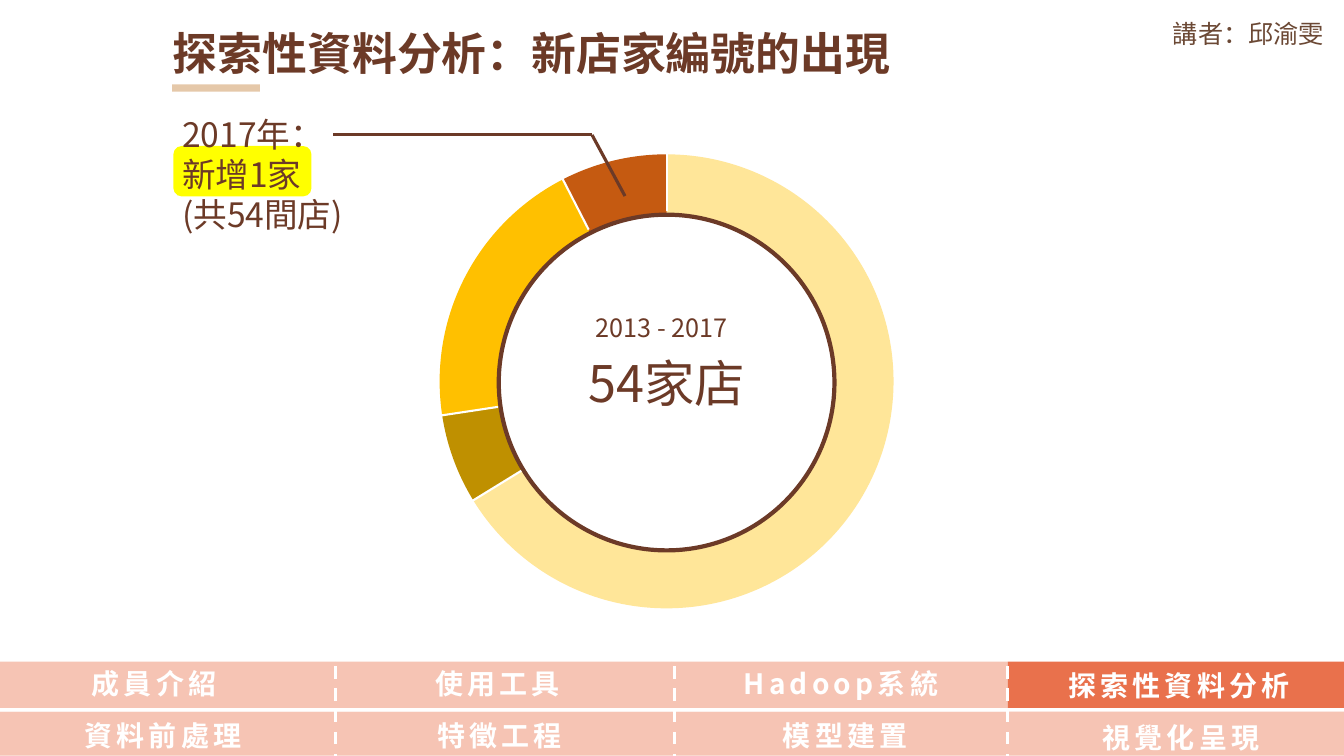
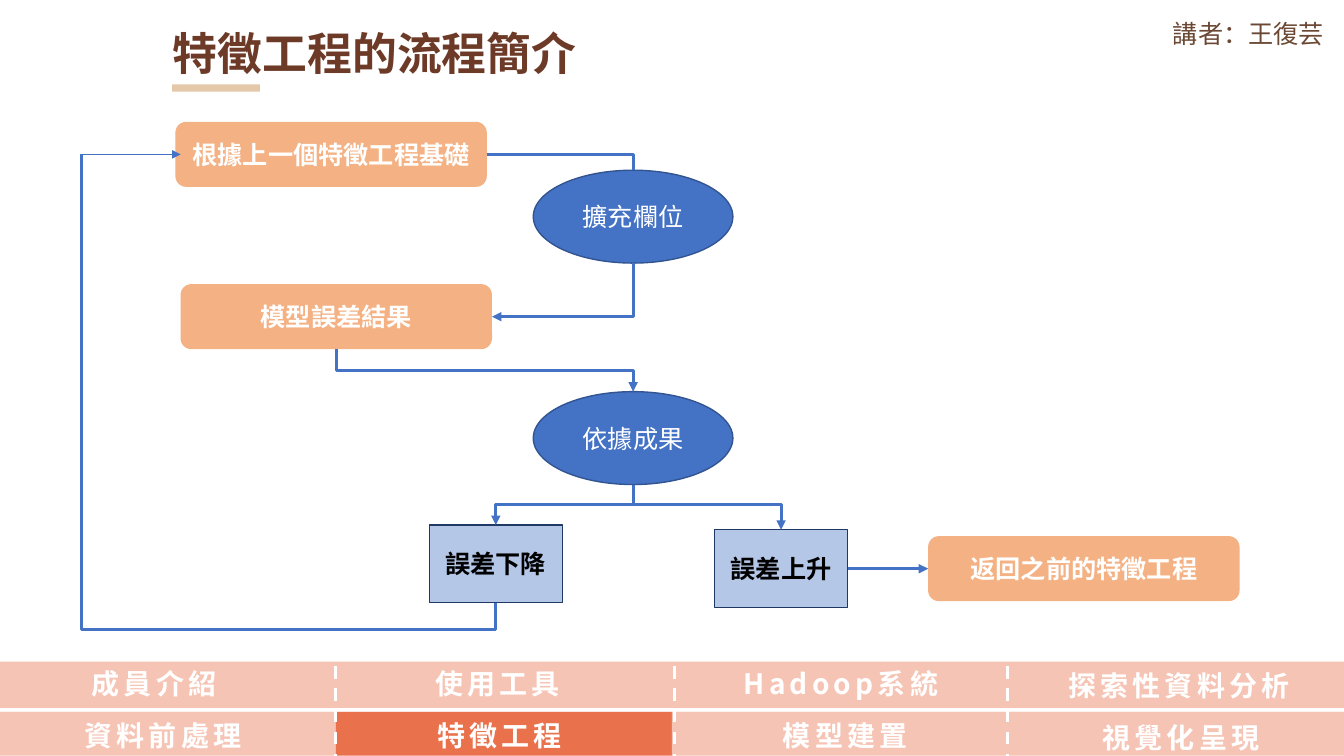
import math

from lxml import etree
from pptx import Presentation
from pptx import util as u
from pptx.dml.color import RGBColor
from pptx.enum import dml, shapes, text
from pptx.oxml.ns import qn

COLORS = {
    "brown": "6C3A27",
    "speaker": "6B4834",
    "sand": "E5C8A9",
    "white": "FFFFFF",
    "black": "000000",
    "highlight": "FFFF00",
    "nav": "F6C4B4",
    "nav_active": "E9714C",
    "cream": "FFE699",
    "olive": "BF9000",
    "amber": "FFC000",
    "rust": "C55A11",
    "orange": "F4B183",
    "blue": "4472C4",
    "blue_edge": "325491",
    "pale_blue": "B4C7E7",
    "navy": "203864",
}
FONT = "Noto Sans CJK SC"
SPEAKER_FONT = "Noto Sans CJK TC"
WIDTH, HEIGHT = 33.87, 19.05
SIDES = ["top", "left", "bottom", "right"]
KINDS = shapes.MSO_SHAPE

NAV_ROWS = [(16.67, 1.25), (17.94, 1.1)]
NAV_LABELS = [
    [("成員介紹", 2.06, 16.67, 3.78), ("使用工具", 10.72, 16.67, 3.78),
     ("Hadoop系統", 18.49, 16.67, 5.59), ("探索性資料分析", 26.67, 16.73, 6.25)],
    [("資料前處理", 1.88, 17.97, 4.6), ("特徵工程", 10.77, 17.99, 3.78),
     ("模型建置", 19.48, 17.99, 3.78), ("視覺化呈現", 27.53, 18.02, 4.6)],
]
NAV_DIVIDERS = [8.46, 16.99, 25.4]


def color(name):
    return RGBColor.from_string(COLORS[name])


class Deck:
    def __init__(self):
        self.presentation = Presentation()
        self.presentation.slide_width = u.Cm(WIDTH)
        self.presentation.slide_height = u.Cm(HEIGHT)
        self.shapes = None

    def new_slide(self):
        layout = self.presentation.slide_layouts[6]
        self.shapes = self.presentation.slides.add_slide(layout).shapes

    def set_text(self, shape, lines, size, ink, bold=False, align=None, font=FONT, spacing=0):
        frame = shape.text_frame
        frame.text = "\n".join(lines)
        for paragraph in frame.paragraphs:
            paragraph.alignment = align
            style = paragraph.font
            style.size = u.Pt(size)
            style.bold = bold
            style.color.rgb = color(ink)
            style.name = font
            properties = style._element
            etree.SubElement(properties, qn("a:ea")).set("typeface", font)
            if spacing:
                properties.set("spc", str(spacing * 100))

    def label(self, box, lines, size, ink="brown", wrap=False, **style):
        shape = self.shapes.add_textbox(*map(u.Cm, box))
        shape.text_frame.word_wrap = wrap
        shape.text_frame.auto_size = text.MSO_AUTO_SIZE.SHAPE_TO_FIT_TEXT
        self.set_text(shape, lines, size, ink, **style)

    def shape(self, kind, box, fill=None, edge=None, edge_width=1):
        shape = self.shapes.add_shape(kind, *map(u.Cm, box))
        shape.shadow.inherit = False
        if fill:
            shape.fill.solid()
            shape.fill.fore_color.rgb = color(fill)
        else:
            shape.fill.background()
        if edge:
            shape.line.color.rgb = color(edge)
            shape.line.width = u.Pt(edge_width)
        else:
            shape.line.fill.background()
        return shape

    def node(self, kind, box, caption, fill, edge=None, ink="white", bold=True, size=18, edge_width=1):
        shape = self.shape(kind, box, fill, edge, edge_width)
        shape.text_frame.vertical_anchor = text.MSO_ANCHOR.MIDDLE
        self.set_text(shape, [caption], size, ink, bold, text.PP_ALIGN.CENTER)
        return shape

    def line(self, begin, end, ink, width=2.25, dashed=False, arrow=False,
             kind=shapes.MSO_CONNECTOR.STRAIGHT):
        connector = self.shapes.add_connector(kind, *map(u.Cm, (*begin, *end)))
        connector.line.color.rgb = color(ink)
        connector.line.width = u.Pt(width)
        if dashed:
            connector.line.dash_style = dml.MSO_LINE.DASH
        if arrow:
            tail = etree.SubElement(connector.line._get_or_add_ln(), qn("a:tailEnd"))
            tail.set("type", "triangle")
        etree.SubElement(connector._element.spPr, qn("a:effectLst"))
        return connector

    def anchor(self, target, side):
        if isinstance(target, tuple):
            return target, None
        x = {"left": 0, "right": 1}.get(side, 0.5)
        y = {"top": 0, "bottom": 1}.get(side, 0.5)
        step = 2 if target.auto_shape_type == KINDS.OVAL else 1
        point = (u.Length(target.left + x * target.width).cm,
                 u.Length(target.top + y * target.height).cm)
        return point, SIDES.index(side) * step

    def elbow(self, begin, end, arrow=True, bend=0.5):
        start, start_site = self.anchor(*begin)
        stop, stop_site = self.anchor(*end)
        connector = self.line(start, stop, "blue", arrow=arrow, kind=shapes.MSO_CONNECTOR.ELBOW)
        if start_site is not None:
            connector._connect_begin_to(begin[0], start_site)
        if stop_site is not None:
            connector._connect_end_to(end[0], stop_site)
        upright = begin[1] in ("top", "bottom")
        parallel = upright == (end[1] in ("top", "bottom"))
        geometry = connector._element.spPr.find(qn("a:prstGeom"))
        geometry.set("prst", "bentConnector3" if parallel else "bentConnector2")
        if parallel:
            guide = etree.SubElement(geometry.find(qn("a:avLst")), qn("a:gd"))
            guide.set("name", "adj1")
            guide.set("fmla", f"val {round(bend * 100000)}")
        if upright:
            dx, dy = stop[0] - start[0], stop[1] - start[1]
            width, height = abs(dy), abs(dx)
            connector.left = u.Cm((start[0] + stop[0] - width) / 2)
            connector.top = u.Cm((start[1] + stop[1] - height) / 2)
            connector.width, connector.height = u.Cm(width), u.Cm(height)
            frame = connector._element.spPr.find(qn("a:xfrm"))
            frame.set("rot", "5400000")
            frame.set("flipH", str(int(dy < 0)))
            frame.set("flipV", str(int(dx > 0)))

    def heading(self, title, speaker):
        self.label((4.11, 0.53, 21, 1.63), [title], 32, wrap=True, bold=True)
        self.shape(KINDS.RECTANGLE, (4.34, 2.13, 2.21, 0.18), "sand")
        self.label((29.31, 0.33, 4.37, 1.02), [f"講者：{speaker}"], 18, "speaker", font=SPEAKER_FONT)

    def navigation(self, active):
        slide_shapes = self.shapes
        self.shapes = slide_shapes.add_group_shape().shapes
        cell = WIDTH / 4
        for (top, height), labels in zip(NAV_ROWS, NAV_LABELS):
            for column, (caption, *_) in enumerate(labels):
                fill = "nav_active" if caption == active else "nav"
                self.shape(KINDS.RECTANGLE, (column * cell, top, cell, height), fill)
        for x in NAV_DIVIDERS:
            self.line((x, 16.23), (x, HEIGHT), "white", dashed=True)
        self.line((0, 17.87), (WIDTH, 17.87), "white")
        for labels in NAV_LABELS:
            for caption, left, top, width in labels:
                self.label((left, top, width, 1.11), [caption], 20, "white", bold=True, spacing=3)
        self.shapes = slide_shapes

    def ring(self, center, radius, thickness, segments):
        x, y = center
        box = (x - radius, y - radius, 2 * radius, 2 * radius)
        for start, end, fill in segments:
            arc = self.shape(KINDS.BLOCK_ARC, box, fill)
            for index, value in enumerate((start * 0.6, end * 0.6, thickness)):
                arc.adjustments[index] = value

    def spokes(self, center, inner, outer, angles):
        for angle in map(math.radians, angles):
            begin, end = [(center[0] + radius * math.cos(angle), center[1] + radius * math.sin(angle))
                          for radius in (outer, inner)]
            self.line(begin, end, "white", 1.5)


def shops_slide(deck):
    deck.new_slide()
    deck.shape(KINDS.ROUNDED_RECTANGLE, (4.37, 3.68, 3.48, 1.27), "highlight")
    deck.heading("探索性資料分析：新店家編號的出現", "邱渝雯")
    deck.navigation("探索性資料分析")
    center = (16.8, 9.61)
    angles = [270, 148.4, 171.4, 242.8]
    fills = ["cream", "olive", "amber", "rust"]
    deck.ring(center, 5.72, 0.13, zip(angles, angles[1:] + angles[:1], fills))
    deck.node(KINDS.OVAL, (12.57, 5.41, 8.46, 8.46), "54家店", None, "brown", "brown",
              bold=False, size=36, edge_width=3)
    deck.spokes(center, 4.3, 5.9, angles)
    deck.line((8.4, 3.4), (14.92, 3.4), "brown")
    deck.line((14.92, 3.4), (15.75, 4.94), "brown")
    deck.label((4.34, 2.74, 9.09, 3.33), ["2017年：", "新增1家", "(共54間店)"], 24, wrap=True)
    deck.label((14.76, 7.75, 4.06, 1.02), ["2013 - 2017"], 18)


def process_slide(deck):
    deck.new_slide()
    deck.heading("特徵工程的流程簡介", "王復芸")
    deck.navigation("特徵工程")
    base, result, undo = [
        deck.node(KINDS.ROUNDED_RECTANGLE, (left, top, 7.85, 1.64), caption, "orange")
        for left, top, caption in [(4.42, 3.07, "根據上一個特徵工程基礎"),
                                   (4.55, 7.16, "模型誤差結果"),
                                   (23.39, 13.51, "返回之前的特徵工程")]]
    expand, judge = [
        deck.node(KINDS.OVAL, (13.44, top, 5.03, 2.34), caption, "blue", "blue_edge", bold=False)
        for top, caption in [(4.29, "擴充欄位"), (9.87, "依據成果")]]
    lower, higher = [
        deck.node(KINDS.RECTANGLE, (left, top, 3.35, 1.96), caption, "pale_blue", "navy", "black")
        for left, top, caption in [(10.82, 13.23, "誤差下降"), (18.01, 13.35, "誤差上升")]]
    corner = (2.06, 3.89)
    deck.elbow((base, "right"), (expand, "top"), arrow=False)
    deck.elbow((expand, "bottom"), (result, "right"))
    deck.elbow((result, "bottom"), (judge, "top"))
    deck.elbow((judge, "bottom"), (lower, "top"))
    deck.elbow((judge, "bottom"), (higher, "top"), bend=0.45)
    deck.elbow((lower, "bottom"), (corner, "bottom"), arrow=False, bend=-0.06)
    deck.line(corner, (4.55, 3.89), "blue", 1, arrow=True)
    retreat = deck.line((21.36, 14.33), (23.39, 14.33), "blue", arrow=True)
    retreat.begin_connect(higher, 3)
    retreat.end_connect(undo, 1)


def main():
    deck = Deck()
    shops_slide(deck)
    process_slide(deck)
    deck.presentation.save("out.pptx")


if __name__ == "__main__":
    main()
